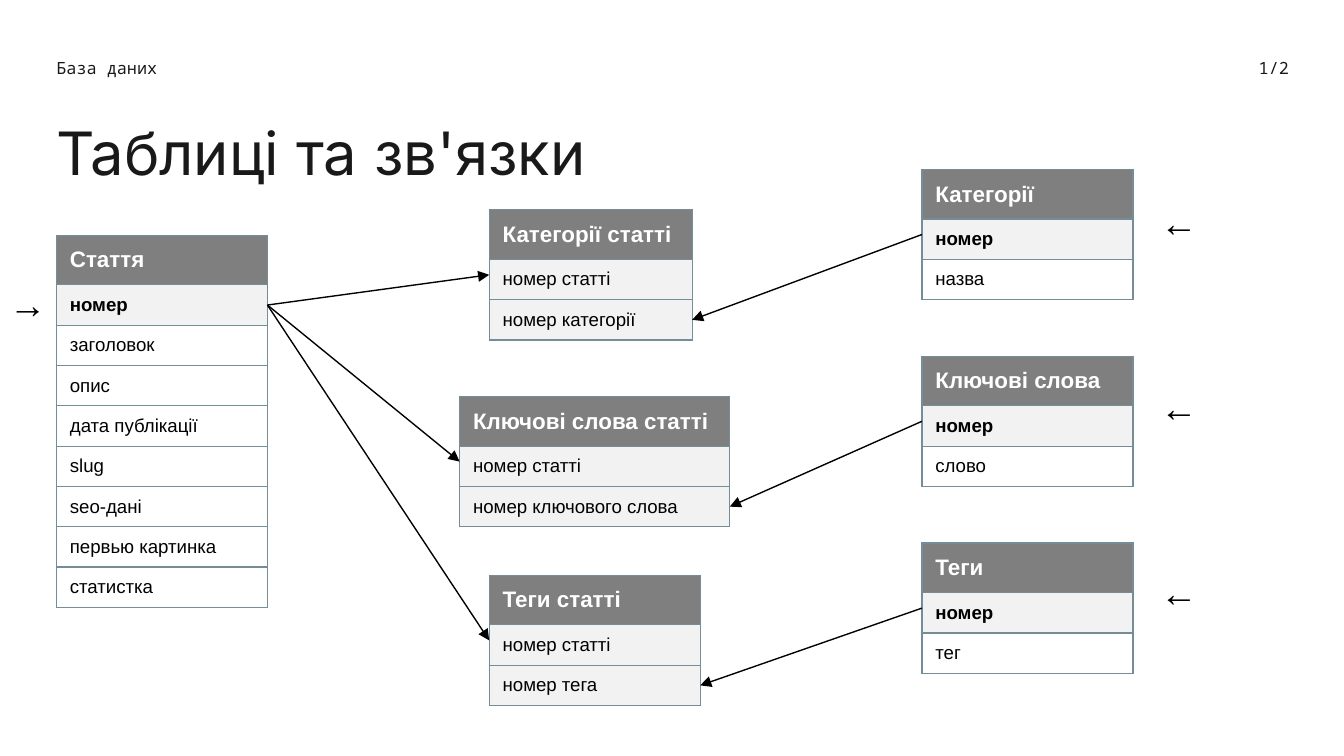
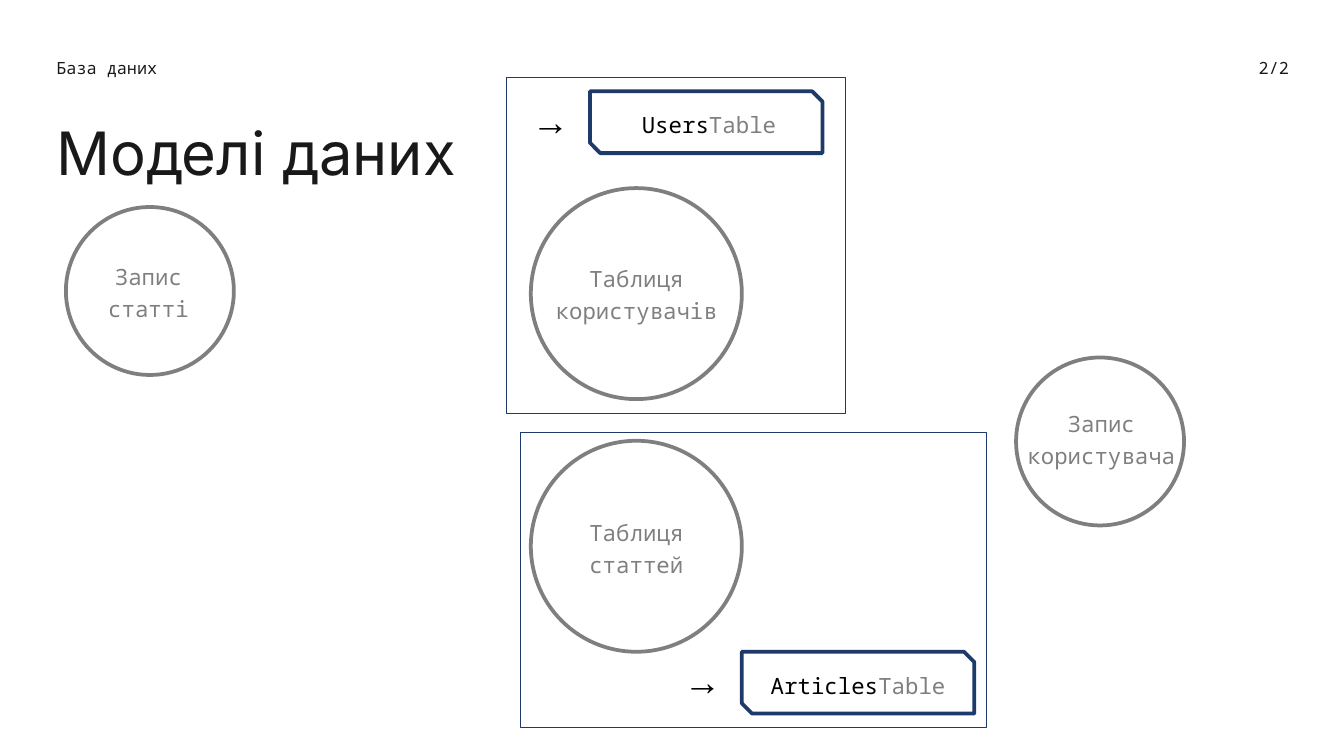
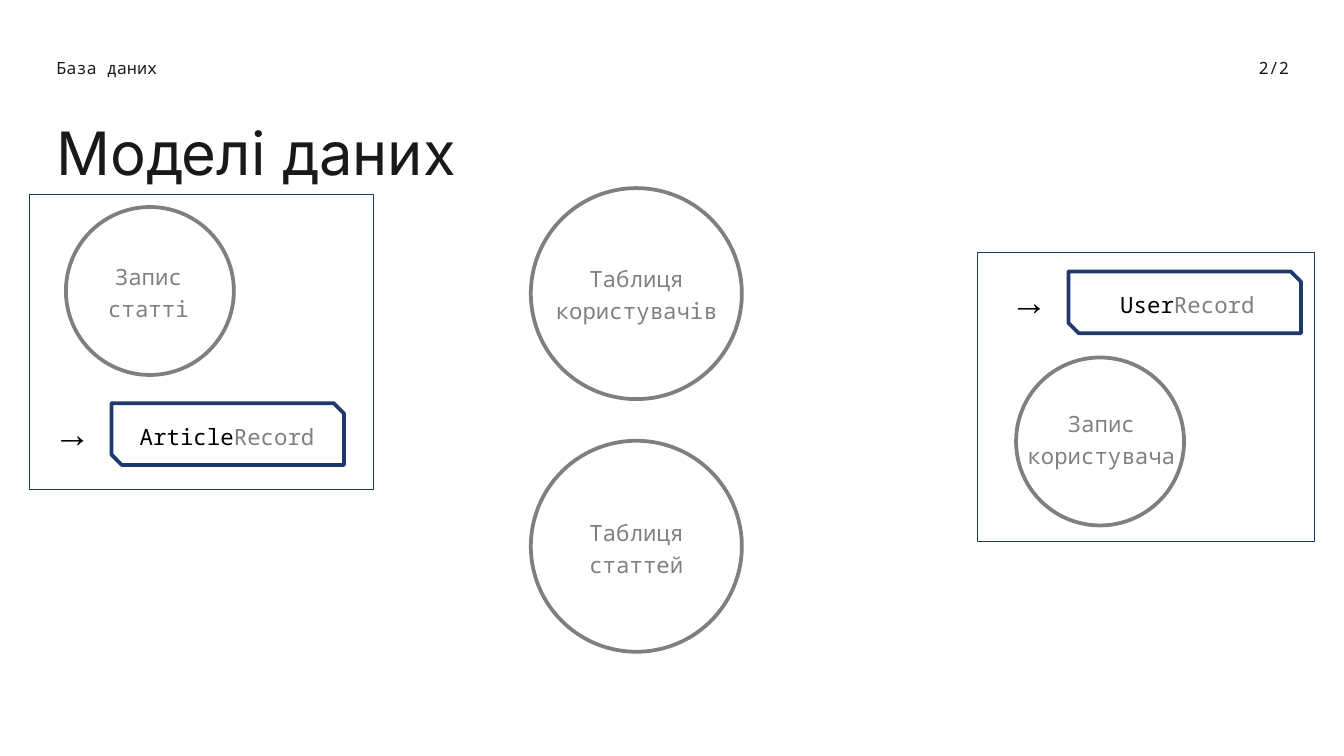
"""Build three slides on a database: its linked tables and its data models."""
from dataclasses import dataclass

from pptx import Presentation
from pptx.dml.color import RGBColor
from pptx.enum.shapes import MSO_CONNECTOR, MSO_SHAPE
from pptx.enum.text import MSO_ANCHOR, MSO_AUTO_SIZE, PP_ALIGN
from pptx.oxml import parse_xml
from pptx.oxml.ns import nsdecls
from pptx.util import Inches, Pt


@dataclass(frozen=True)
class Theme:
    ink: str = "191919"
    black: str = "000000"
    white: str = "FFFFFF"
    grey: str = "7F7F7F"
    pale: str = "F2F2F2"
    border: str = "748D99"
    navy: str = "1D3A6B"
    title_font: str = "Inter"
    mono_font: str = "Noto Sans Mono"
    body_font: str = "Arial"
    title_size: int = 32
    arrow_size: int = 20
    label_size: int = 12
    cell_size: int = 10
    running_size: int = 9
    thick: float = 2
    thin: float = 0.75
    hairline: float = 0.5


theme = Theme()
COLUMNS, ROWS = 100, 56.25
HEADER_ROW, BODY_ROW = 3.7, 3
ARROW_WIDTH, ARROW_HEIGHT = 3.5, 4.4
TAG_WIDTH, TAG_HEIGHT = 17.3, 4.6
NO_STYLE = "{2D5ABB26-0587-4C30-8999-92F81FD0307C}"


def grid(*units):
    """Turn grid columns and rows, a tenth of an inch each, into lengths."""
    return [Inches(unit / 10) for unit in units]


def add_text(shapes, box, lines, font, size, align=PP_ALIGN.LEFT, spacing=None, inset=0):
    """Add a text box whose lines are lists of (text, colour) runs."""
    text_box = shapes.add_textbox(*grid(*box))
    frame = text_box.text_frame
    frame.word_wrap = True
    frame.auto_size = MSO_AUTO_SIZE.SHAPE_TO_FIT_TEXT
    frame.margin_left, frame.margin_right = grid(inset, inset)
    frame.margin_top, frame.margin_bottom = grid(inset / 2, inset / 2)
    for index, line in enumerate(lines):
        paragraph = frame.add_paragraph() if index else frame.paragraphs[0]
        paragraph.alignment = align
        paragraph.line_spacing = spacing
        for text, colour in line:
            run = paragraph.add_run()
            run.text = text
            run.font.name = font
            run.font.size = Pt(size)
            run.font.color.rgb = RGBColor.from_string(colour)
    return text_box


presentation = Presentation()
presentation.slide_width, presentation.slide_height = grid(COLUMNS, ROWS)

slides = []
for title, page in [("Таблиці та зв'язки", "1/2"), ("Моделі даних", "2/2"), ("Моделі даних", "2/2")]:
    slide = presentation.slides.add_slide(presentation.slide_layouts[6])
    add_text(slide.shapes, (4.2, 8.6, 40.6, 5.4), [[(title, theme.ink)]], theme.title_font, theme.title_size)
    add_text(slide.shapes, (4.2, 4.3, 12.6, 1.5), [[("База даних", theme.ink)]],
             theme.mono_font, theme.running_size)
    add_text(slide.shapes, (84.4, 4.3, 11.5, 1.5), [[(page, theme.ink)]],
             theme.mono_font, theme.running_size, PP_ALIGN.RIGHT)
    slides.append(slide)
tables_slide, *model_slides = slides

article_fields = ["номер", "заголовок", "опис", "дата публікації", "slug", "seo-дані",
                  "первью картинка", "статистка"]
entities = [
    ("Стаття", 4.2, 17.5, 15.7, article_fields, 1),
    ("Категорії", 68.6, 12.6, 15.7, ["номер", "назва"], 1),
    ("Ключові слова", 68.6, 26.5, 15.7, ["номер", "слово"], 1),
    ("Теги", 68.6, 40.4, 15.7, ["номер", "тег"], 1),
    ("Категорії статті", 36.4, 15.6, 15.1, ["номер статті", "номер категорії"], 2),
    ("Ключові слова статті", 34.2, 29.5, 20.1, ["номер статті", "номер ключового слова"], 2),
    ("Теги статті", 36.4, 42.8, 15.7, ["номер статті", "номер тега"], 2),
]
frames = {}
for name, left, top, width, fields, key_count in entities:
    height = HEADER_ROW + BODY_ROW * len(fields)
    table_frame = tables_slide.shapes.add_table(len(fields) + 1, 1, *grid(left, top, width, height))
    frames[name] = table_frame
    table = table_frame.table
    table.first_row = table.horz_banding = False
    table._tbl.tblPr[0].text = NO_STYLE
    for index, text in enumerate([name, *fields]):
        is_header = index == 0
        table.rows[index].height = grid(HEADER_ROW if is_header else BODY_ROW)[0]
        cell = table.cell(index, 0)
        cell.vertical_anchor = MSO_ANCHOR.MIDDLE
        for side in "LRTB":
            cell._tc.get_or_add_tcPr().append(parse_xml(
                f'<a:ln{side} {nsdecls("a")} w="{Pt(theme.thin)}"><a:solidFill>'
                f'<a:srgbClr val="{theme.border}"/></a:solidFill></a:ln{side}>'))
        if index <= key_count:
            cell.fill.solid()
            cell.fill.fore_color.rgb = RGBColor.from_string(theme.grey if is_header else theme.pale)
        else:
            cell.fill.background()
        run = cell.text_frame.paragraphs[0].add_run()
        run.text = text
        run.font.name = theme.body_font
        run.font.size = Pt(theme.label_size if is_header else theme.cell_size)
        run.font.bold = is_header or text == "номер"
        run.font.color.rgb = RGBColor.from_string(theme.white if is_header else theme.black)

article = frames["Стаття"]
key_row_middle, last_row_middle = grid(HEADER_ROW + BODY_ROW / 2, HEADER_ROW + BODY_ROW * 1.5)
connectors = []
for name in ["Категорії", "Ключові слова", "Теги"]:
    link = frames[f"{name} статті"]
    from_list = tables_slide.shapes.add_connector(
        MSO_CONNECTOR.STRAIGHT, 0, 0, link.left + link.width, link.top + last_row_middle)
    from_list.begin_connect(frames[name], 1)
    from_article = tables_slide.shapes.add_connector(
        MSO_CONNECTOR.STRAIGHT, article.left + article.width, article.top + key_row_middle, 0, 0)
    from_article.end_connect(link, 1)
    connectors += [from_list, from_article]
for connector in connectors:
    connector.line.color.rgb = RGBColor.from_string(theme.black)
    connector.line.width = Pt(theme.thin)
    connector.line._get_or_add_ln().append(parse_xml(f'<a:tailEnd {nsdecls("a")} type="triangle"/>'))
    connector._element.spPr.append(parse_xml(f'<a:effectLst {nsdecls("a")}/>'))

arrows = [(tables_slide, -0.3, 20.4, 0)]
arrows += [(tables_slide, 86.6, top, 180) for top in (15.6, 29.3, 43.1)]

circles = [
    (["Таблиця", "користувачів"], 39.5, 14, 15.7, (39.5, 19.3, 15.7, 4.8)),
    (["Таблиця", "статтей"], 39.5, 32.8, 15.7, (39.5, 38.2, 15.7, 4.8)),
    (["Запис", "статті"], 4.9, 15.4, 12.5, (5.2, 19.2, 11.7, 4.8)),
    (["Запис", "користувача"], 75.6, 26.6, 12.5, (76.1, 30.1, 11.7, 4.8)),
]
models = [
    [("Users", "Table", 43.9, 6.8, 46.5, 12.5, (37.7, 5.8, 25.2, 25)),
     ("Articles", "Table", 55.2, 48.5, 56, 15.7, (38.7, 32.2, 34.7, 21.9))],
    [("Article", "Record", 8.3, 30, 10.2, 13.4, (2.2, 14.5, 25.6, 21.9)),
     ("User", "Record", 79.5, 20.2, 82.1, 12.5, (72.7, 18.8, 25.1, 21.5))],
]
outlines = []
for slide, slide_models in zip(model_slides, models):
    for words, left, top, diameter, text_place in circles:
        group = slide.shapes.add_group_shape()
        add_text(group.shapes, text_place, [[(word, theme.grey)] for word in words],
                 theme.mono_font, theme.label_size, PP_ALIGN.CENTER, 1.2)
        outlines.append((group.shapes, MSO_SHAPE.OVAL, (left, top, diameter, diameter),
                         theme.grey, theme.thick))
    for entity, kind, left, top, label_left, label_width, border_place in slide_models:
        add_text(slide.shapes, (label_left, top + 1.1, label_width, 2.4),
                 [[(entity, theme.black), (kind, theme.grey)]],
                 theme.mono_font, theme.label_size, PP_ALIGN.CENTER, 1.2)
        arrows.append((slide, left - 5.3, top, 0))
        outlines.append((slide.shapes, MSO_SHAPE.SNIP_2_DIAG_RECTANGLE, (left, top, TAG_WIDTH, TAG_HEIGHT),
                         theme.navy, theme.thick))
        outlines.append((slide.shapes, MSO_SHAPE.RECTANGLE, border_place, theme.navy, theme.hairline))

for shapes, preset, place, colour, weight in outlines:
    shape = shapes.add_shape(preset, *grid(*place))
    shape.shadow.inherit = False
    shape.fill.background()
    shape.line.color.rgb = RGBColor.from_string(colour)
    shape.line.width = Pt(weight)

for slide, left, top, rotation in arrows:
    arrow = add_text(slide.shapes, (left, top, ARROW_WIDTH, ARROW_HEIGHT), [[("→", theme.black)]],
                     theme.body_font, theme.arrow_size, inset=1)
    arrow.rotation = rotation

presentation.save("out.pptx")
